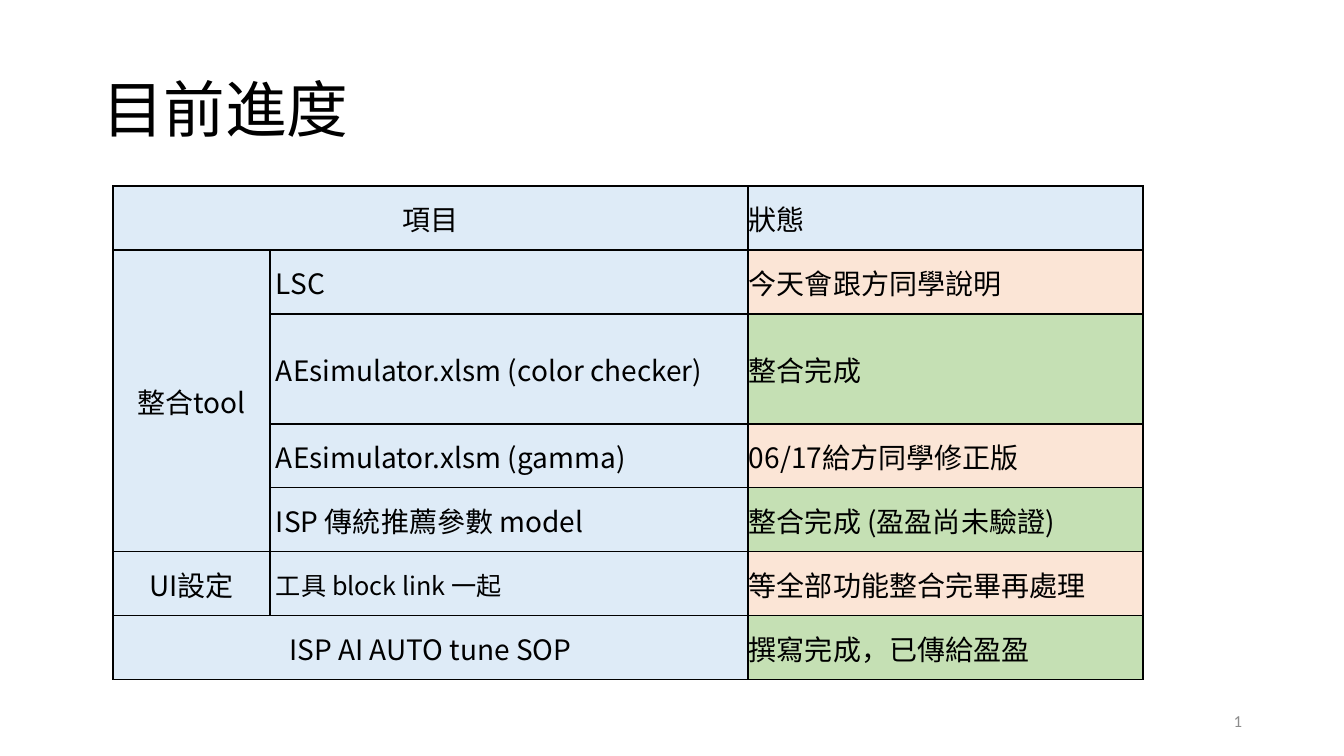
import pptx
import pptx.util
import pptx.oxml
import pptx.oxml.ns
from pptx.dml.color import RGBColor
from pptx.enum.text import MSO_ANCHOR, PP_ALIGN

# Content: (group, item, status, status colour)
BLACK = RGBColor(0x00, 0x00, 0x00)
GREY = RGBColor(0x8C, 0x8C, 0x8C)
BLUE = RGBColor(0xDE, 0xEB, 0xF7)
PENDING = RGBColor(0xFB, 0xE5, 0xD6)
DONE = RGBColor(0xC5, 0xE0, 0xB4)
LATIN, CJK = "Calibri", "Noto Sans CJK SC"

TITLE = "目前進度"
ROWS = [
    ("項目", "", "狀態", BLUE),
    ("整合tool", "LSC", "今天會跟方同學說明", PENDING),
    ("", "AEsimulator.xlsm (color checker)", "整合完成", DONE),
    ("", "AEsimulator.xlsm (gamma)", "06/17給方同學修正版", PENDING),
    ("", "ISP 傳統推薦參數 model", "整合完成 (盈盈尚未驗證)", DONE),
    ("UI設定", "工具 block link 一起", "等全部功能整合完畢再處理", PENDING),
    ("ISP AI AUTO tune SOP", "", "撰寫完成，已傳給盈盈", DONE),
]
MERGES = [((0, 0), (0, 1)), ((1, 0), (4, 0)), ((6, 0), (6, 1))]
SMALL_CELL = (5, 1)

# Layout in px
COL_WIDTHS = [157, 478, 395]
ROW_HEIGHT, TALL_ROW, TALL_HEIGHT = 64, 2, 110
ITEM_INDENT = 6


def px(n):
    return round(n * 914400 / 100.8)


def style_run(r, size, color, font):
    r.font.size = pptx.util.Pt(size)
    r.font.color.rgb = color
    r.font.name = font
    ea = pptx.oxml.parse_xml(
        f'<a:ea {pptx.oxml.ns.nsdecls("a")} typeface="{CJK}"/>')
    r.font._element.find(pptx.oxml.ns.qn("a:latin")).addnext(ea)


def add_borders(cell):
    tc_pr = cell._tc.get_or_add_tcPr()
    for i, side in enumerate("LRTB"):
        tc_pr.insert(i, pptx.oxml.parse_xml(
            f'<a:ln{side} {pptx.oxml.ns.nsdecls("a")} w="12700">'
            f'<a:solidFill><a:srgbClr val="{BLACK}"/></a:solidFill></a:ln{side}>'))


prs = pptx.Presentation()
prs.slide_width, prs.slide_height = px(1344), px(756)
s = prs.slides.add_slide(prs.slide_layouts[5])

# Title
title = s.shapes.title
title.left, title.top, title.width, title.height = map(px, (92, 40, 1159, 146))
tf = title.text_frame
tf.text = TITLE
tf.vertical_anchor = MSO_ANCHOR.MIDDLE
p = tf.paragraphs[0]
p.alignment = PP_ALIGN.LEFT
p.line_spacing = 0.9
style_run(p.runs[0], 44, BLACK, LATIN)

# Progress table
heights = [TALL_HEIGHT if i == TALL_ROW else ROW_HEIGHT for i in range(len(ROWS))]
table = s.shapes.add_table(len(ROWS), len(COL_WIDTHS), px(113), px(186),
                           px(sum(COL_WIDTHS)), px(sum(heights))).table
table.first_row = table.horz_banding = False
for column, width in zip(table.columns, COL_WIDTHS):
    column.width = px(width)
for row, height in zip(table.rows, heights):
    row.height = px(height)

for i, (*texts, status_color) in enumerate(ROWS):
    for j, text in enumerate(texts):
        cell = table.cell(i, j)
        cell.fill.solid()
        cell.fill.fore_color.rgb = status_color if j == 2 else BLUE
        add_borders(cell)
        cell.vertical_anchor = MSO_ANCHOR.MIDDLE
        cell.margin_left = px(ITEM_INDENT if j == 1 else 1)
        cell.margin_right = cell.margin_top = px(1)
        cell.margin_bottom = 0
        cell.text_frame.text = text
        p = cell.text_frame.paragraphs[0]
        p.alignment = PP_ALIGN.CENTER if j == 0 else PP_ALIGN.LEFT
        for r in p.runs:
            style_run(r, 18 if (i, j) == SMALL_CELL else 20, BLACK, CJK)
for first, last in MERGES:
    table.cell(*first).merge(table.cell(*last))

# Slide number
tf = s.shapes.add_textbox(*map(px, (950, 701, 302, 40))).text_frame
tf.word_wrap = True
tf.vertical_anchor = MSO_ANCHOR.MIDDLE
p = tf.paragraphs[0]
p.alignment = PP_ALIGN.RIGHT
p._p.append(pptx.oxml.parse_xml(
    f'<a:fld {pptx.oxml.ns.nsdecls("a")} type="slidenum" '
    'id="{B6F15528-21DE-4FAA-801E-634DDDAF4B2B}"><a:rPr sz="1200"><a:solidFill>'
    f'<a:srgbClr val="{GREY}"/></a:solidFill><a:latin typeface="{LATIN}"/></a:rPr>'
    '<a:t>1</a:t></a:fld>'))

prs.save("out.pptx")
